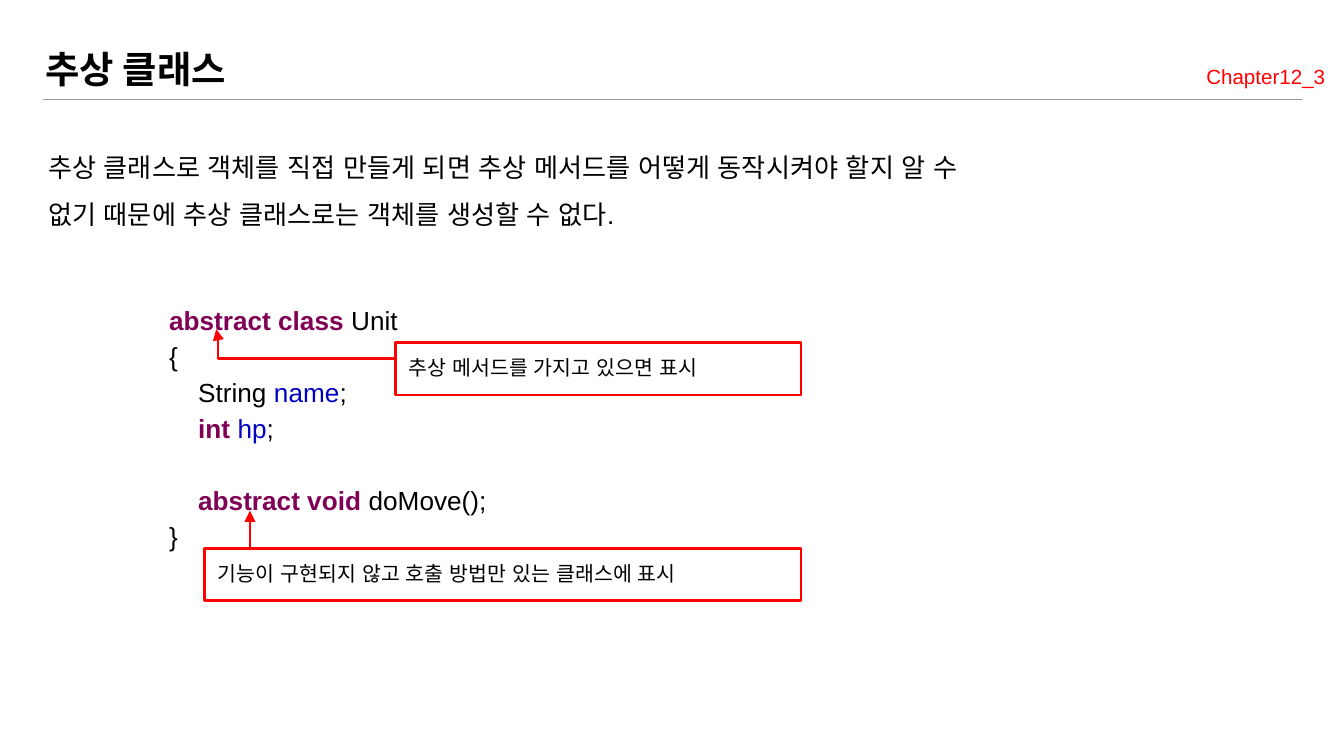
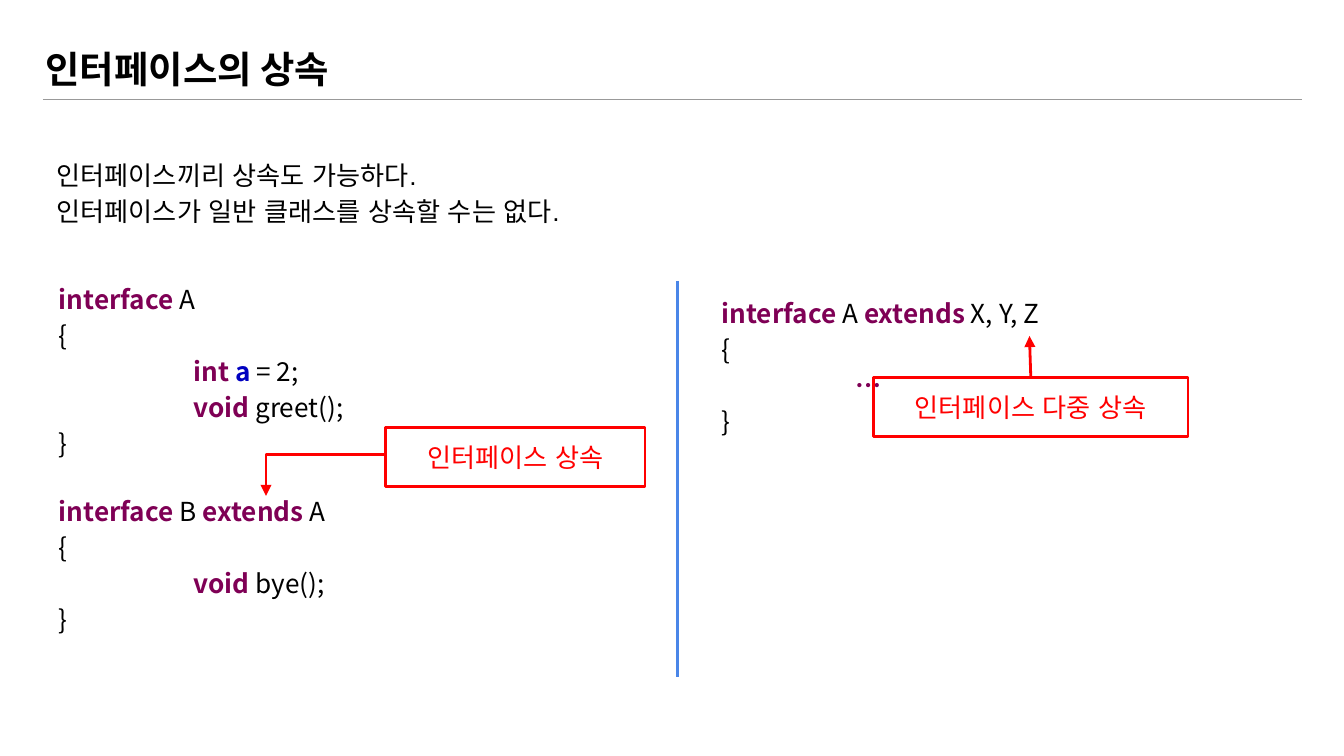
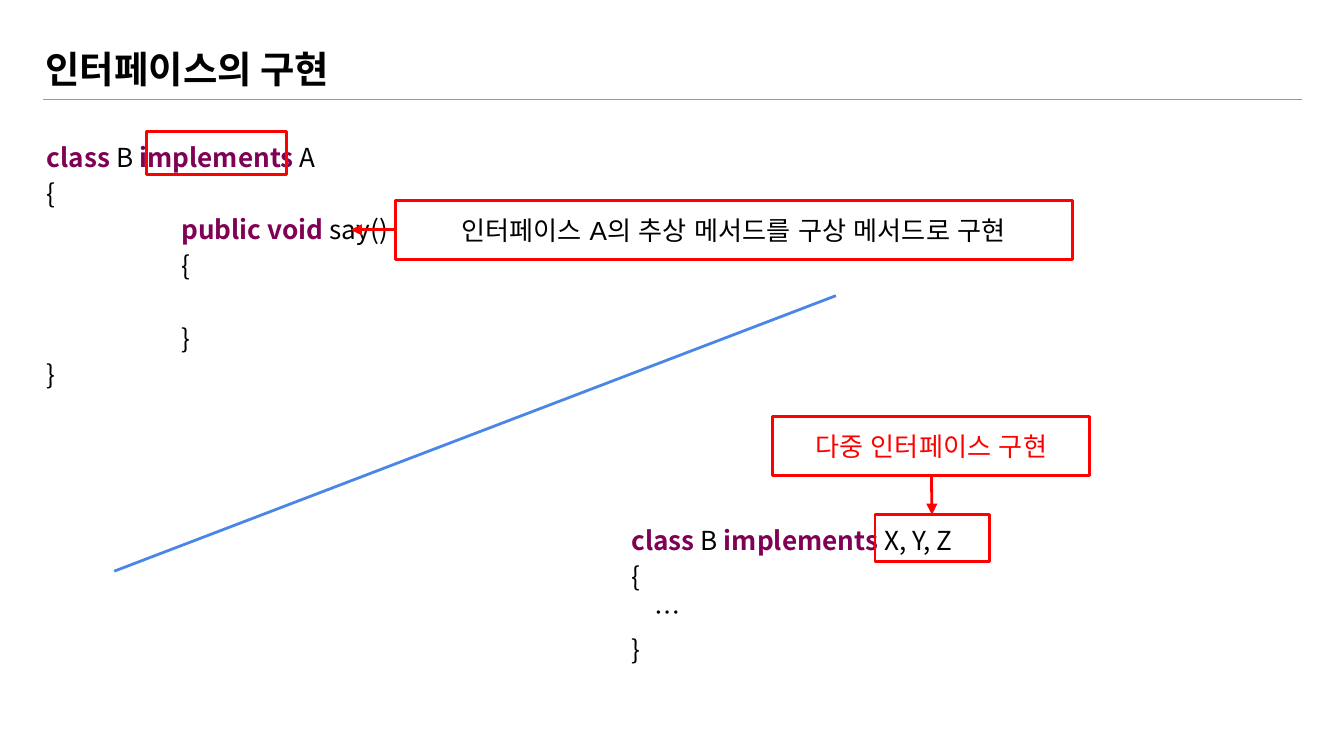
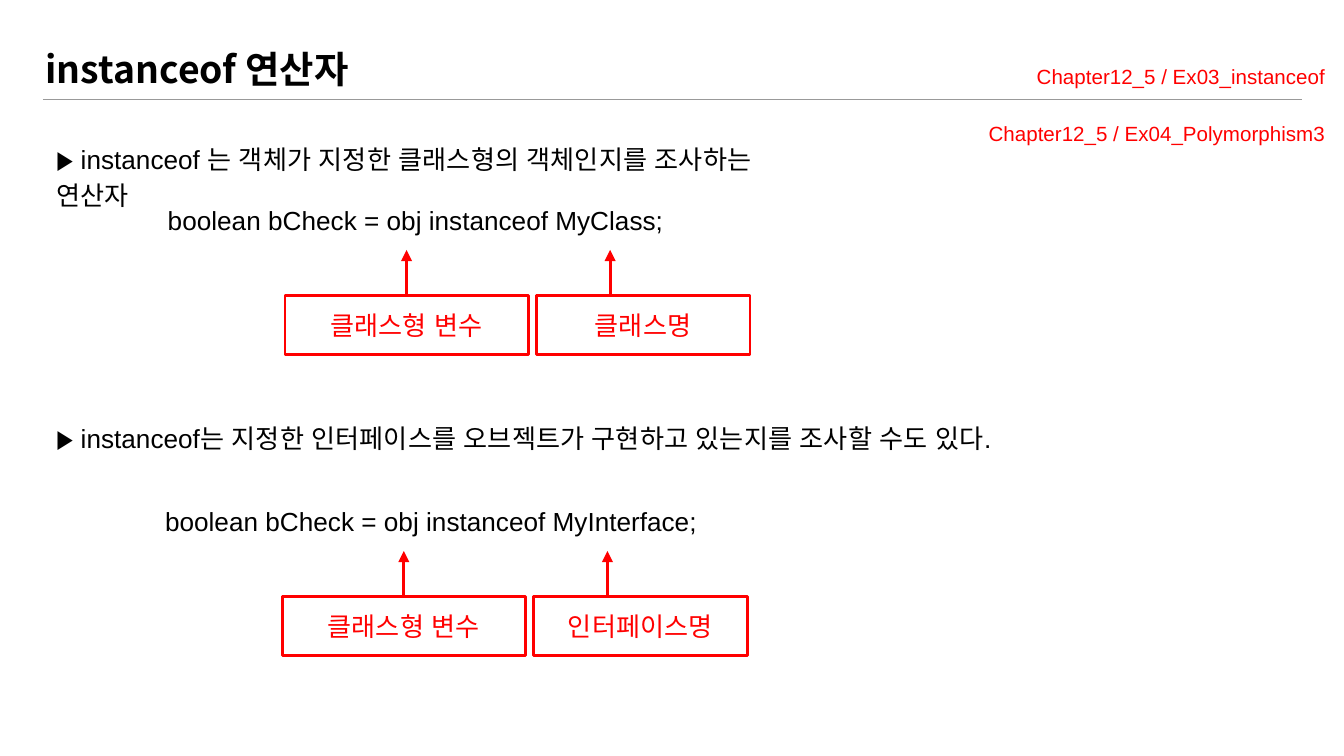
from lxml import etree
from pptx import Presentation
from pptx import util as u
from pptx.dml.color import RGBColor
from pptx.enum import shapes, text
from pptx.oxml import ns

BLACK = RGBColor(0x00, 0x00, 0x00)
RED = RGBColor(0xFF, 0x00, 0x00)
GREY = RGBColor(0x99, 0x99, 0x99)
BLUE = RGBColor(0x4A, 0x86, 0xE8)
PURPLE = RGBColor(0x7F, 0x00, 0x55)
NAVY = RGBColor(0x00, 0x00, 0xC0)

ARIAL = "Arial"
NOTO = "Noto Sans CJK KR"
LEFT, MID, RIGHT = text.PP_ALIGN.LEFT, text.PP_ALIGN.CENTER, text.PP_ALIGN.RIGHT
TOP, BOTTOM, WEST = 0, 2, 1


def key(word):
    """Style a run as a keyword."""
    return word, PURPLE, True


def field(word, bold=False):
    """Style a run as a field name."""
    return word, NAVY, bold


def add(parent, tag, **attrs):
    return etree.SubElement(parent, ns.qn(tag), attrs)


def write(shape, lines, size=14, face=ARIAL, color=BLACK, bold=False,
          align=LEFT, space=1.0, grow=True, anchor=text.MSO_ANCHOR.TOP):
    """Fill a shape with lines; a line is a string or a list of runs."""
    frame = shape.text_frame
    frame.word_wrap = True
    frame.auto_size = (text.MSO_AUTO_SIZE.SHAPE_TO_FIT_TEXT if grow
                       else text.MSO_AUTO_SIZE.NONE)
    frame.vertical_anchor = anchor
    frame.margin_left = frame.margin_right = u.Inches(0.1)
    frame.margin_top = frame.margin_bottom = u.Inches(0.1)
    for i, line in enumerate(lines):
        para = frame.add_paragraph() if i else frame.paragraphs[0]
        para.alignment = align
        para.line_spacing = space
        runs = [line] if isinstance(line, str) else line
        words = [(r, color, bold) if isinstance(r, str) else r for r in runs]
        if any("\t" in word for word, _, _ in words):
            tabs = add(para._p.get_or_add_pPr(), "a:tabLst")
            for stop in (1, 2):
                add(tabs, "a:tab", pos=str(u.Inches(stop)), algn="l")
        for word, tint, heavy in words:
            run = para.add_run()
            run.text = word
            run.font.size = u.Pt(size)
            run.font.bold = heavy
            run.font.color.rgb = tint
            run.font.name = face
            add(run._r.get_or_add_rPr(), "a:ea", typeface=face)


def label(slide, x, y, w, h, lines, **style):
    box = slide.shapes.add_textbox(*map(u.Inches, (x, y, w, h)))
    write(box, lines, **style)


def code(slide, x, y, w, h, lines, face=NOTO):
    label(slide, x, y, w, h, lines, face=face, space=1.15)


def frame(slide, x, y, w, h):
    """Draw an empty red outline."""
    box = slide.shapes.add_shape(shapes.MSO_SHAPE.RECTANGLE,
                                 *map(u.Inches, (x, y, w, h)))
    box.shadow.inherit = False
    box.fill.background()
    box.line.color.rgb = RED
    box.line.width = u.Pt(1.5)
    return box


def callout(slide, x, y, w, words, color=RED):
    box = frame(slide, x, y, w, 0.44)
    write(box, [words], color=color, align=MID, grow=False,
          anchor=text.MSO_ANCHOR.MIDDLE)
    return box


def remark(slide, x, y, w, words):
    box = frame(slide, x, y, w, 0.39)
    write(box, [words], size=11)


def stroke(slide, start, end, color=BLUE, width=1.5, bend=None):
    """Draw a line, or an elbow turning at the share bend of its width."""
    kind = shapes.MSO_CONNECTOR
    line = slide.shapes.add_connector(
        kind.STRAIGHT if bend is None else kind.ELBOW,
        *map(u.Inches, start + end))
    line.line.color.rgb = color
    line.line.width = u.Pt(width)
    props = line._element.spPr
    add(props, "a:effectLst")
    if bend is not None:
        guides = props.find(ns.qn("a:prstGeom")).find(ns.qn("a:avLst"))
        add(guides, "a:gd", name="adj1", fmla=f"val {round(bend * 100000)}")
    return line


def arrow(slide, start, end, bend=None):
    line = stroke(slide, start, end, RED, bend=bend)
    add(line.line._get_or_add_ln(), "a:tailEnd", type="triangle")
    return line


def page(deck, title, *refs):
    """Add a slide with its title, rule and chapter references."""
    slide = deck.slides.add_slide(deck.slide_layouts[6])
    label(slide, 0.24, 0.24, 8.22, 0.54, [title], size=20, face=NOTO,
          bold=True, grow=False)
    stroke(slide, (0.32, 0.74), (9.69, 0.74), GREY, 0.75)
    for i, ref in enumerate(refs):
        label(slide, 6.68, 0.35 + 0.42 * i, 3.28, 0.39, [ref], size=11,
              color=RED, align=RIGHT, space=1.15)
    return slide


def unit(slide, x, y):
    """Place the abstract class and its two remarks."""
    code(slide, x, y, 3.28, 2.06, [
        [key("abstract class"), " Unit"],
        "{",
        ["    String ", field("name"), ";"],
        ["    ", key("int "), field("hp"), ";"],
        "    ",
        ["    ", key("abstract void"), " doMove();"],
        "}",
    ], ARIAL)
    remark(slide, x + 0.36, y + 1.95, 4.44,
           "기능이 구현되지 않고 호출 방법만 있는 클래스에 표시")
    arrow(slide, (x + 0.7, y + 1.95), (x + 0.7, y + 1.67))
    remark(slide, x + 1.78, y + 0.42, 3.02, "추상 메서드를 가지고 있으면 표시")
    arrow(slide, (x + 1.78, y + 0.54), (x + 0.45, y + 0.32), bend=0.99)


def single(slide, x, y):
    """Place interface A and the interface B that extends it."""
    callout(slide, x + 2.53, y + 1.21, 1.93, "인터페이스 상속")
    code(slide, x, y, 2.36, 1.52, [
        [key("interface"), " A"],
        "{",
        ["\t", key("int "), field("a", True), " = 2;"],
        ["\t", key("void"), " greet();"],
        "}",
    ])
    code(slide, x, y + 1.58, 3.42, 1.25, [
        [key("interface"), " B ", key("extends"), " A"],
        "{",
        ["\t", key("void"), " bye();"],
        "}",
    ])
    arrow(slide, (x + 2.53, y + 1.41), (x + 1.64, y + 1.72), bend=1)


def multi(slide, x, y):
    """Place the interface that extends several others."""
    code(slide, x, y, 3.42, 1.25, [
        [key("interface"), " A ", key("extends"), " X, Y, Z"],
        "{",
        ["\t", key("…")],
        "}",
    ])
    box = callout(slide, x + 1.23, y + 0.73, 2.34, "인터페이스 다중 상속")
    line = arrow(slide, (x + 2.4, y + 0.73), (x + 2.39, y + 0.42))
    line.begin_connect(box, TOP)


def method(slide, x, y):
    """Place the class that implements one interface."""
    code(slide, x, y, 3.28, 2.06, [
        [key("class"), " B ", key("implements"), " A"],
        "{",
        ["\t", key("public void"), " say()"],
        "\t{",
        "\t\t",
        "\t}",
        "}",
    ])
    box = callout(slide, x + 2.69, y + 0.57, 5.04,
                  "인터페이스 A의 추상 메서드를 구상 메서드로 구현", BLACK)
    line = arrow(slide, (x + 2.69, y + 0.79), (x + 2.36, y + 0.79))
    line.begin_connect(box, WEST)
    frame(slide, x + 0.84, y + 0.06, 1.04, 0.32)


def several(slide, x, y):
    """Place the class that implements several interfaces."""
    code(slide, x, y, 3.28, 1.25, [
        [key("class"), " B ", key("implements"), " X, Y, Z"],
        "{",
        "    …",
        "}",
    ])
    box = callout(slide, x + 1.15, y - 0.67, 2.36, "다중 인터페이스 구현")
    names = frame(slide, x + 1.91, y + 0.06, 0.85, 0.35)
    line = arrow(slide, (x + 2.33, y - 0.23), (x + 2.33, y + 0.06))
    line.begin_connect(box, BOTTOM)
    line.end_connect(names, TOP)


def check(slide, x, y, kind, noun):
    """Place an instanceof statement with its two operands explained."""
    label(slide, x, y, 6.1, 0.44, [f"boolean bCheck = obj instanceof {kind};"])

    def operand(left, wide, tip, words):
        box = frame(slide, x + left, y + 0.78, wide, 0.44)
        write(box, [words], color=RED, align=MID)
        return box, arrow(slide, (x + tip, y + 0.78), (x + tip, y + 0.44))

    box, line = operand(0.97, 1.81, 0.97 + 1.81 / 2, "클래스형 변수")
    line.begin_connect(box, TOP)
    operand(2.84, 1.59, 3.39, noun)


def main():
    deck = Presentation()
    deck.slide_width = u.Inches(10)
    deck.slide_height = u.Inches(10 * 9 / 16)

    slide = page(deck, "추상 클래스", "Chapter12_3")
    label(slide, 0.26, 0.91, 7.3, 0.95, [
        "추상 클래스로 객체를 직접 만들게 되면 추상 메서드를 어떻게 "
        "동작시켜야 할지 알 수 없기 때문에 추상 클래스로는 객체를 생성할 수 없다.",
    ], space=1.5, grow=False)
    unit(slide, 1.16, 2.13)

    slide = page(deck, "인터페이스의 상속")
    label(slide, 0.32, 1.05, 7.22, 0.71, [
        "인터페이스끼리 상속도 가능하다.",
        "인터페이스가 일반 클래스를 상속할 수는 없다.",
    ], space=1.15)
    single(slide, 0.34, 1.97)
    multi(slide, 5.27, 2.08)
    stroke(slide, (5.04, 2.09), (5.04, 5.04))

    slide = page(deck, "인터페이스의 구현")
    method(slide, 0.25, 0.92)
    several(slide, 4.6, 3.77)
    stroke(slide, (0.85, 4.25), (6.22, 2.2))

    slide = page(deck, "instanceof 연산자", "Chapter12_5 / Ex03_instanceof",
                 "Chapter12_5 / Ex04_Polymorphism3")
    label(slide, 0.32, 0.93, 5.81, 0.44, [
        "▶ instanceof 는 객체가 지정한 클래스형의 객체인지를 조사하는 연산자",
    ], space=1.15)
    check(slide, 1.15, 1.42, "MyClass", "클래스명")
    label(slide, 0.32, 3.01, 7.38, 0.44, [
        "▶ instanceof는 지정한 인터페이스를 오브젝트가 구현하고 있는지를 "
        "조사할 수도 있다.",
    ], space=1.15)
    check(slide, 1.13, 3.66, "MyInterface", "인터페이스명")

    deck.save("out.pptx")


if __name__ == "__main__":
    main()
